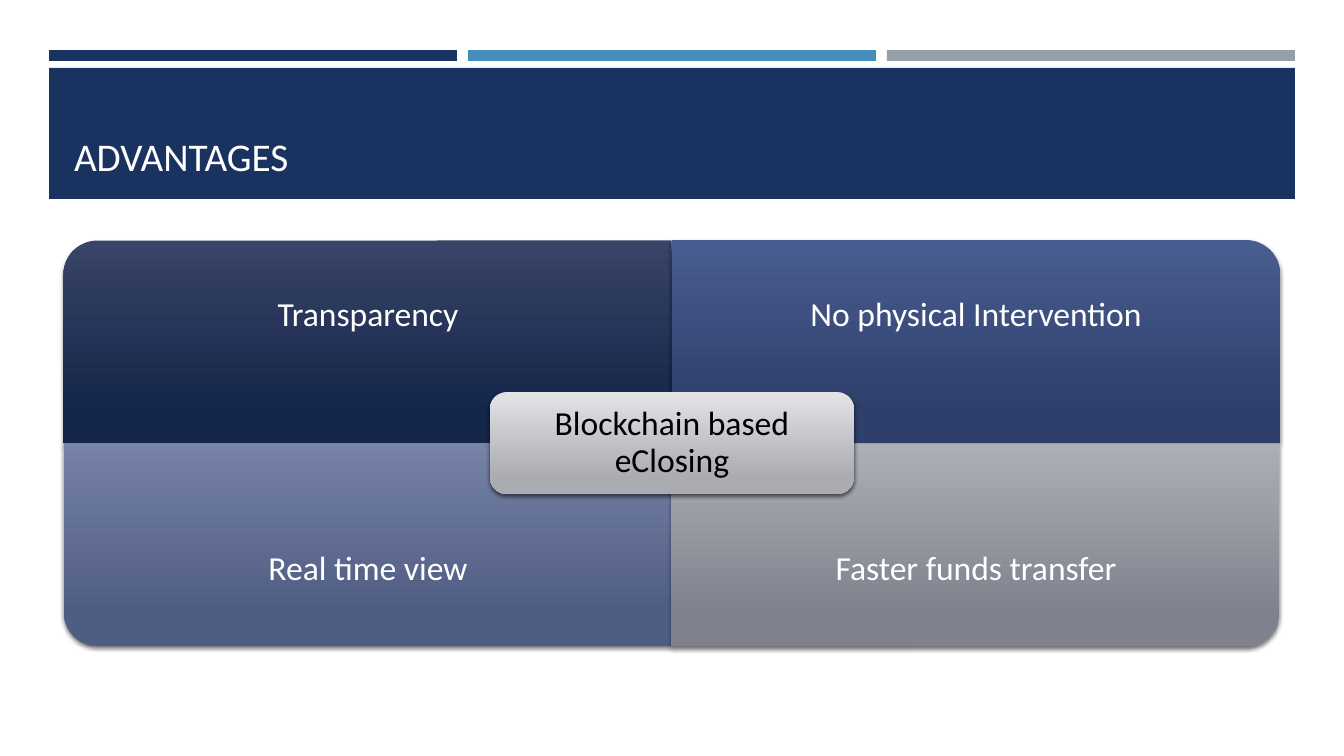
from dataclasses import dataclass

from lxml.etree import SubElement
from pptx import Presentation
from pptx.dml.color import RGBColor
from pptx.enum.shapes import MSO_SHAPE
from pptx.enum.text import MSO_ANCHOR, MSO_AUTO_SIZE, PP_ALIGN
from pptx.oxml.ns import qn
from pptx.util import Emu, Pt

PIXEL = 914400 / 100.8
COLORS = {
    "navy": "1A3260", "blue": "4590B8", "gray": "969FA7",
    "white": "FFFFFF", "black": "000000",
    "ink_top": "384468", "ink_bottom": "142649",
    "indigo_top": "4A5D90", "indigo_bottom": "2D3F6A",
    "slate_top": "7682A7", "slate_bottom": "505D82",
    "steel_top": "ADAFB7", "steel_bottom": "7F828D",
    "silver_top": "E4E4E7", "silver_bottom": "AAACB2",
}


@dataclass
class Box:
    left: int
    top: int
    width: int
    height: int

    def emu(self) -> list[Emu]:
        return [Emu(round(value * PIXEL)) for value in (self.left, self.top, self.width, self.height)]


@dataclass
class Quadrant:
    text: str
    column: int
    row: int
    rotation: int
    shade: str


BARS = [
    (Box(49, 50, 408, 11), "navy"),
    (Box(887, 50, 408, 11), "gray"),
    (Box(468, 50, 408, 11), "blue"),
    (Box(49, 68, 1246, 131), "navy"),
]
MATRIX = Box(64, 240, 1216, 406)
QUADRANTS = [
    Quadrant("Transparency", 0, 0, 270, "ink"),
    Quadrant("No physical Intervention", 1, 0, 0, "indigo"),
    Quadrant("Real time view", 0, 1, 180, "slate"),
    Quadrant("Faster funds transfer", 1, 1, 90, "steel"),
]
HUB = Box(490, 392, 364, 102)


def color(name: str) -> RGBColor:
    return RGBColor.from_string(COLORS[name])


def write(shape, text: str, *, size: int = 24, fill: str = "white", align=PP_ALIGN.CENTER,
          anchor=MSO_ANCHOR.MIDDLE, spacing: float = 0.9, inset: int = 10) -> None:
    frame = shape.text_frame
    frame.word_wrap = True
    frame.auto_size = MSO_AUTO_SIZE.NONE
    frame.vertical_anchor = anchor
    margin = Emu(round(inset * PIXEL))
    frame.margin_left = frame.margin_right = margin
    frame.margin_top = frame.margin_bottom = margin
    paragraph = frame.paragraphs[0]
    paragraph.alignment = align
    paragraph.line_spacing = spacing
    run = paragraph.add_run()
    run.text = text
    run.font.name = "Calibri"
    run.font.size = Pt(size)
    run.font.color.rgb = color(fill)


def add_bar(slide, box: Box, fill: str) -> None:
    bar = slide.shapes.add_shape(MSO_SHAPE.RECTANGLE, *box.emu())
    bar.shadow.inherit = False
    bar.fill.solid()
    bar.fill.fore_color.rgb = color(fill)
    bar.line.fill.background()


def add_shadow(shape) -> None:
    shape.shadow.inherit = False
    effects = shape.element.spPr.find(qn("a:effectLst"))
    shadow = SubElement(effects, qn("a:outerShdw"), blurRad=str(Pt(3)), dist=str(Pt(2)),
                        dir="5400000", algn="ctr", rotWithShape="0")
    tint = SubElement(shadow, qn("a:srgbClr"), val=COLORS["black"])
    SubElement(tint, qn("a:alpha"), val="55000")


def add_panel(slide, preset, box: Box, shade: str, rotation: int = 0) -> None:
    panel = slide.shapes.add_shape(preset, *box.emu())
    panel.rotation = rotation
    panel.fill.gradient()
    panel.fill.gradient_angle = (270 + rotation) % 360
    stops = zip(panel.fill.gradient_stops, ("top", "bottom"), (0, 0.84))
    for stop, end, position in stops:
        stop.color.rgb = color(f"{shade}_{end}")
        stop.position = position
    panel.line.fill.background()
    add_shadow(panel)


def add_quadrant(slide, quadrant: Quadrant) -> None:
    width, height = MATRIX.width // 2, MATRIX.height // 2
    left = MATRIX.left + quadrant.column * width
    top = MATRIX.top + quadrant.row * height
    box = Box(left, top, width, height)
    if quadrant.rotation % 180:
        shift = (width - height) // 2
        box = Box(left + shift, top - shift, height, width)
    add_panel(slide, MSO_SHAPE.ROUND_1_RECTANGLE, box, quadrant.shade, quadrant.rotation)
    label_height = height * 3 // 4
    label_top = top + quadrant.row * (height - label_height)
    label = slide.shapes.add_textbox(*Box(left, label_top, width, label_height).emu())
    write(label, quadrant.text, inset=19)


presentation = Presentation()
presentation.slide_width, presentation.slide_height = Box(0, 0, 1344, 756).emu()[2:]
slide = presentation.slides.add_slide(presentation.slide_layouts[5])

for bar_box, bar_fill in BARS:
    add_bar(slide, bar_box, bar_fill)

title = slide.shapes.title
title.left, title.top, title.width, title.height = Box(64, 78, 1216, 111).emu()
write(title, "ADVANTAGES", size=28, align=PP_ALIGN.LEFT, anchor=MSO_ANCHOR.BOTTOM,
      spacing=1.0, inset=10)
title.element.getparent().append(title.element)

for quadrant in QUADRANTS:
    add_quadrant(slide, quadrant)

add_panel(slide, MSO_SHAPE.ROUNDED_RECTANGLE, HUB, "silver")
hub_label = slide.shapes.add_textbox(*Box(HUB.left + 5, HUB.top + 5, HUB.width - 10, HUB.height - 10).emu())
write(hub_label, "Blockchain based eClosing", fill="black")

presentation.save("out.pptx")
